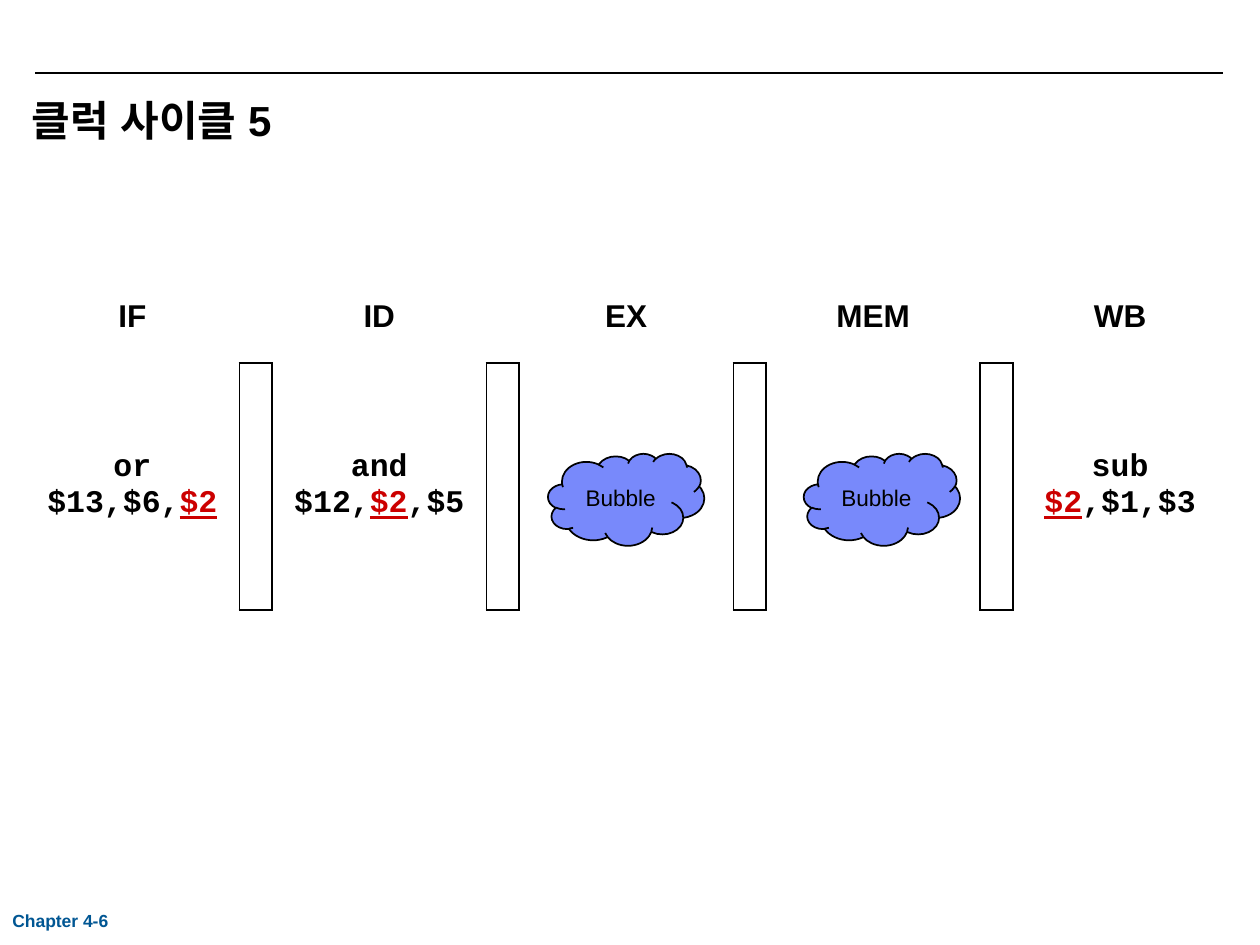
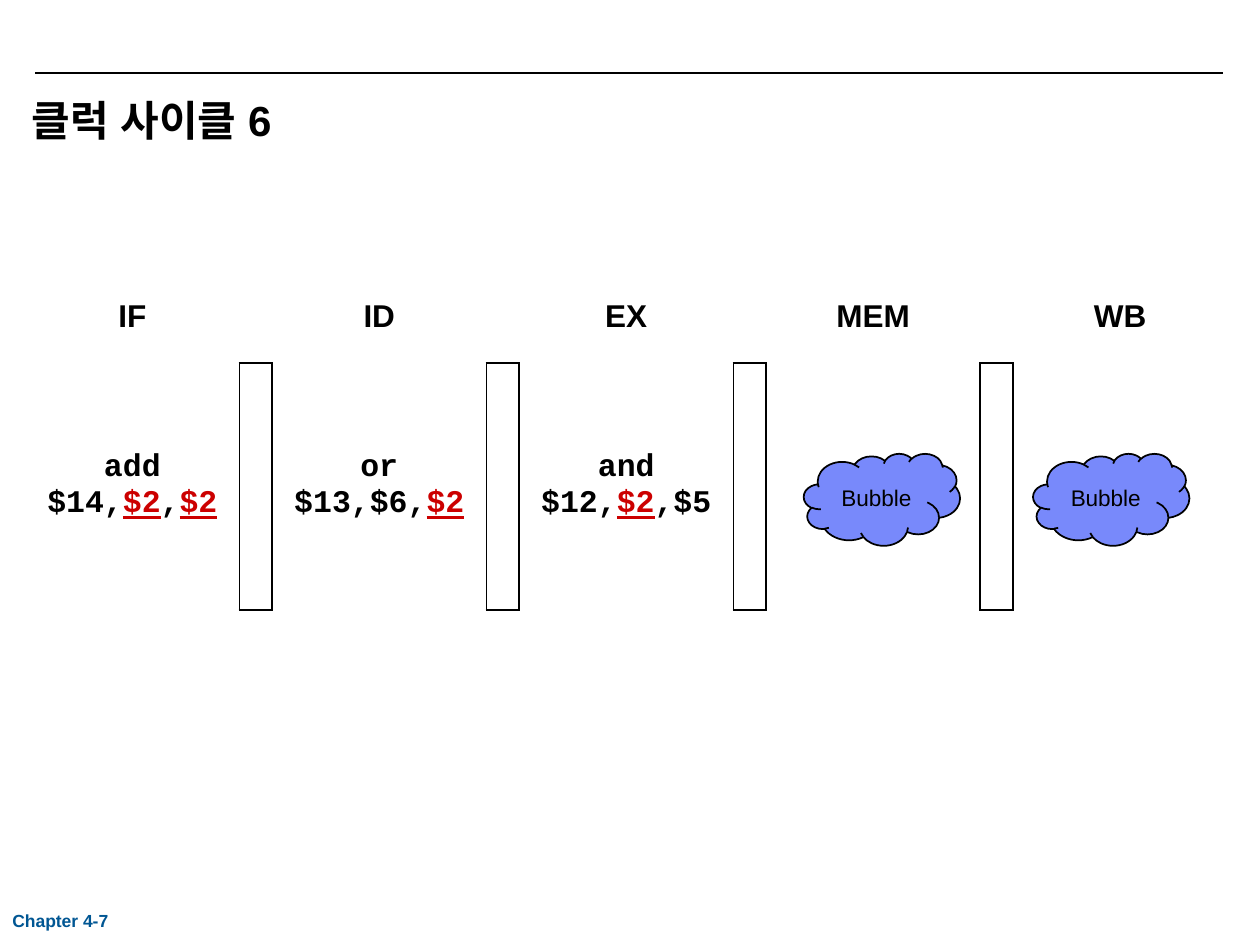
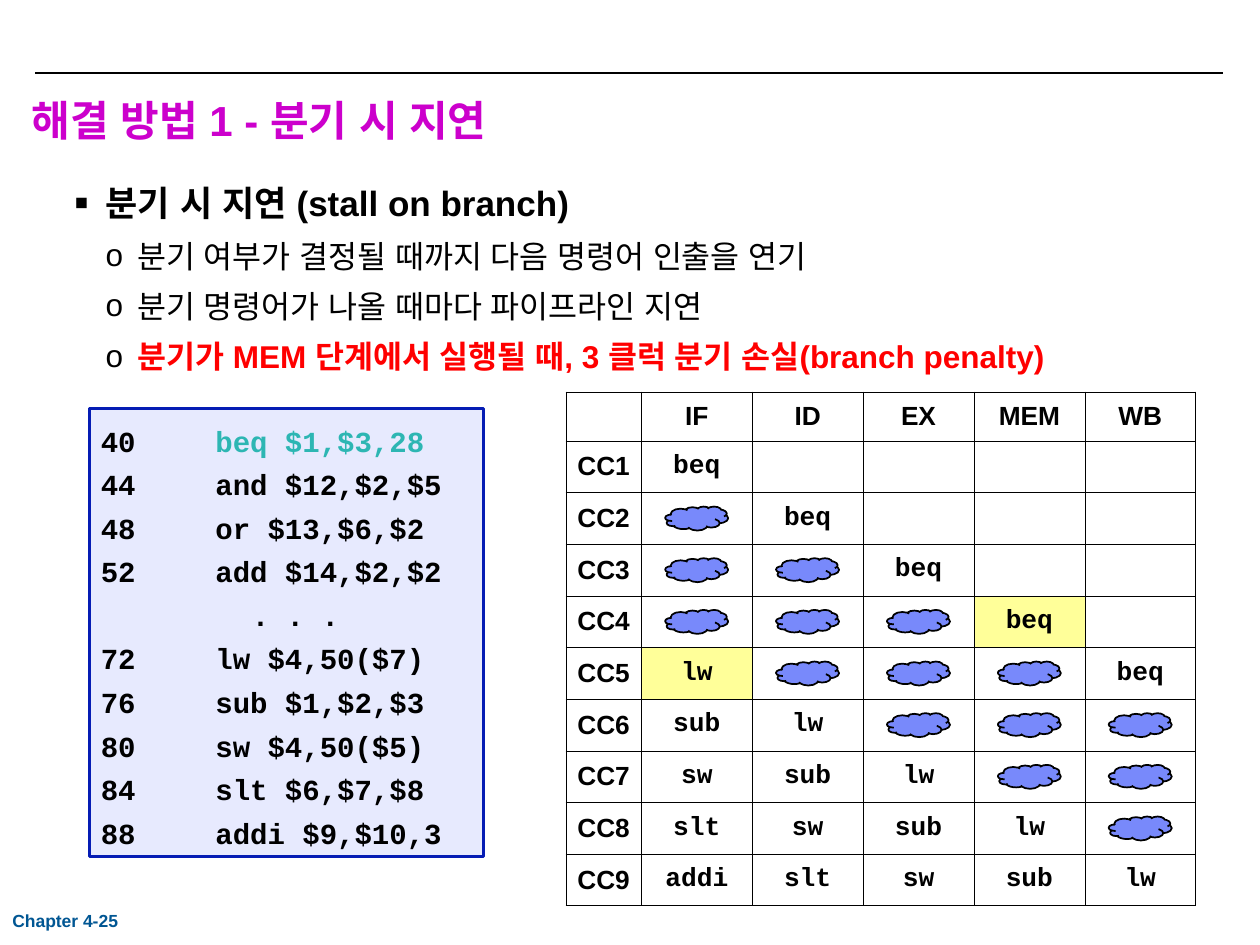
from dataclasses import dataclass
from lxml import etree
from pptx import Presentation
from pptx.dml.color import RGBColor
from pptx.enum.shapes import MSO_CONNECTOR, MSO_SHAPE
from pptx.enum.text import MSO_ANCHOR, PP_ALIGN
from pptx.oxml.ns import qn
from pptx.util import Inches, Pt

CENTER, LEFT = PP_ALIGN.CENTER, PP_ALIGN.LEFT
TOP, MIDDLE = MSO_ANCHOR.TOP, MSO_ANCHOR.MIDDLE
CLOUD, RECT = MSO_SHAPE.CLOUD, MSO_SHAPE.RECTANGLE
STRAIGHT = MSO_CONNECTOR.STRAIGHT
PLAIN_TABLE = "{2D5ABB26-0587-4C30-8999-92F81FD0307C}"


@dataclass(frozen=True)
class Theme:
    sans: str = "Arial"
    mono: str = "Courier New"
    ink: str = "000000"
    footer: str = "005693"
    accent: str = "CC00CC"
    alert: str = "FF0000"
    register: str = "CC0000"
    branch: str = "2DB6B3"
    cloud: str = "7889FB"
    code_fill: str = "AEB8FD"
    code_line: str = "051CB4"
    mark: str = "FFFF99"
    title_pt: float = 24
    lead_pt: float = 20
    body_pt: float = 18
    code_pt: float = 16.6
    grid_pt: float = 15
    bubble_pt: float = 12.9
    footer_pt: float = 10


T = Theme()
WIDTH, HEIGHT = 10, 7.5
STAGES = ["IF", "ID", "EX", "MEM", "WB"]

CYCLES = [
    {"title": "클럭 사이클 5", "footer": "Chapter 4-6",
     "stages": [("or", "$13,$6,$2"), ("and", "$12,$2,$5"), None, None, ("sub", "$2,$1,$3")],
     "bubbles": [4.35, 6.38]},
    {"title": "클럭 사이클 6", "footer": "Chapter 4-7",
     "stages": [("add", "$14,$2,$2"), ("or", "$13,$6,$2"), ("and", "$12,$2,$5"), None, None],
     "bubbles": [6.38, 8.2]},
]

STALL = {
    "title": "해결 방법 1 - 분기 시 지연", "footer": "Chapter 4-25",
    "lead": "분기 시 지연 (stall on branch)",
    "points": [
        ("분기 여부가 결정될 때까지 다음 명령어 인출을 연기", False),
        ("분기 명령어가 나올 때마다 파이프라인 지연", False),
        ("분기가 MEM 단계에서 실행될 때, 3 클럭 분기 손실(branch penalty)", True),
    ],
}
CODE = [
    (40, "beq $1,$3,28"), (44, "and $12,$2,$5"), (48, "or $13,$6,$2"),
    (52, "add $14,$2,$2"), (None, ". . ."), (72, "lw $4,50($7)"),
    (76, "sub $1,$2,$3"), (80, "sw $4,50($5)"), (84, "slt $6,$7,$8"),
    (88, "addi $9,$10,3"),
]
AUTO_NUMBERED = range(72, 88)
FETCH_CYCLE = {"beq": 1, "lw": 5, "sub": 6, "sw": 7, "slt": 8, "addi": 9}
MARKED = {("beq", "MEM"), ("lw", "IF")}
LAST_CYCLE = 9
STALL_CYCLES = 3


def rgb(color):
    return RGBColor.from_string(color)


def add_run(p, text, size, color=T.ink, bold=True, font=T.sans, underline=False):
    r = p.add_run()
    r.text = text
    f = r.font
    f.size, f.bold, f.name = Pt(size), bold, font
    f.color.rgb = rgb(color)
    if underline:
        f.underline = True
    etree.SubElement(r._r.get_or_add_rPr(), qn("a:ea"), typeface=font)
    return r


def frame(s, margins=(0.1, 0.05), anchor=TOP):
    tf = s.text_frame
    tf.word_wrap = True
    tf.vertical_anchor = anchor
    tf.margin_left = tf.margin_right = Inches(margins[0])
    tf.margin_top = tf.margin_bottom = Inches(margins[1])
    return tf


def add_box(s, x, y, w, h, margins=(0.1, 0.05)):
    return frame(s.shapes.add_textbox(*map(Inches, (x, y, w, h))), margins)


def paragraphs(tf, count):
    return [tf.paragraphs[0]] + [tf.add_paragraph() for _ in range(count - 1)]


def hang(p, left, first):
    pPr = p._p.get_or_add_pPr()
    pPr.set("marL", str(Inches(left)))
    pPr.set("indent", str(Inches(first)))
    return pPr


def add_bullet(p, char, left, percent=100):
    pPr = hang(p, left, -0.25)
    clr = etree.SubElement(pPr, qn("a:buClr"))
    etree.SubElement(clr, qn("a:srgbClr"), val=T.ink)
    etree.SubElement(pPr, qn("a:buSzPct"), val=str(percent * 1000))
    etree.SubElement(pPr, qn("a:buFont"), typeface=T.sans)
    etree.SubElement(pPr, qn("a:buChar"), char=char)


def add_preset(s, kind, x, y, w, h, fill, line, line_pt):
    sp = s.shapes.add_shape(kind, *map(Inches, (x, y, w, h)))
    sp.shadow.inherit = False
    sp.fill.solid()
    sp.fill.fore_color.rgb = rgb(fill)
    sp.line.color.rgb = rgb(line)
    sp.line.width = Pt(line_pt)
    return sp


def add_cloud(s, x, y, w, h):
    return add_preset(s, CLOUD, x, y, w, h, T.cloud, T.ink, 1)


def add_grid(s, x, y, cols, rows):
    size = map(Inches, (x, y, sum(cols), sum(rows)))
    table = s.shapes.add_table(len(rows), len(cols), *size).table
    table.first_row = table.horz_banding = False
    table._tbl.tblPr.find(qn("a:tableStyleId")).text = PLAIN_TABLE
    for i, w in enumerate(cols):
        table.columns[i].width = Inches(w)
    for i, h in enumerate(rows):
        table.rows[i].height = Inches(h)
    return table


def style_cell(cell, sides, line_pt, margins, fill=None):
    tcPr = cell._tc.get_or_add_tcPr()
    for side in sides:
        ln = etree.SubElement(tcPr, qn(f"a:ln{side}"), w=str(Pt(line_pt)))
        solid = etree.SubElement(ln, qn("a:solidFill"))
        etree.SubElement(solid, qn("a:srgbClr"), val=T.ink)
    if fill:
        cell.fill.solid()
        cell.fill.fore_color.rgb = rgb(fill)
    else:
        cell.fill.background()
    cell.vertical_anchor = MIDDLE
    cell.margin_left = cell.margin_right = Inches(margins[0])
    cell.margin_top = cell.margin_bottom = Inches(margins[1])


def add_base(prs, title, footer, color=T.ink):
    s = prs.slides.add_slide(prs.slide_layouts[6])
    ends = map(Inches, (0.28, 0.58, 9.71, 0.58))
    rule = s.shapes.add_connector(STRAIGHT, *ends)
    rule.line.color.rgb = rgb(T.ink)
    rule.line.width = Pt(0.75)
    etree.SubElement(rule._element.spPr, qn("a:effectLst"))
    tf = add_box(s, 0.25, 0.75, 9.42, 0.67, (0, 0))
    add_run(tf.paragraphs[0], title, T.title_pt, color)
    tf = add_box(s, 0, 7.17, 1.83, 0.3)
    add_run(tf.paragraphs[0], footer, T.footer_pt, T.footer)
    return s


def add_instruction(cell, name, operands):
    first, second = paragraphs(cell.text_frame, 2)
    first.alignment = second.alignment = CENTER
    add_run(first, name, T.body_pt, font=T.mono)
    for part in filter(None, operands.replace("$2", "|$2|").split("|")):
        hazard = part == "$2"
        add_run(second, part, T.body_pt, T.register if hazard else T.ink,
                font=T.mono, underline=hazard)


def build_cycle(prs, cycle):
    s = add_base(prs, cycle["title"], cycle["footer"])
    last = 2 * len(STAGES) - 2
    cols = [0.26 if c % 2 else 1.7 for c in range(last + 1)]
    table = add_grid(s, 0.2, 2.15, cols, [0.73, 1.96])
    for c in range(last + 1):
        head, body = table.cell(0, c), table.cell(1, c)
        register = c % 2 == 1
        style_cell(head, "B" if register else "", 1, (0.09, 0.05))
        sides = "LRTB" if register else "L" * (c > 0) + "R" * (c < last)
        style_cell(body, sides, 1, (0.09, 0.05))
        if register:
            continue
        p = head.text_frame.paragraphs[0]
        p.alignment = CENTER
        add_run(p, STAGES[c // 2], T.body_pt)
        if cycle["stages"][c // 2]:
            add_instruction(body, *cycle["stages"][c // 2])
    for x in cycle["bubbles"]:
        sp = add_cloud(s, x, 3.6, 1.24, 0.73)
        p = frame(sp, (0.09, 0.05), MIDDLE).paragraphs[0]
        p.alignment = CENTER
        add_run(p, "Bubble", T.bubble_pt, bold=False)


def add_points(s):
    tf = add_box(s, 0.49, 1.39, 9.31, 1.85)
    lead, *points = paragraphs(tf, 1 + len(STALL["points"]))
    lead.space_before, lead.space_after = Pt(7), Pt(3)
    add_bullet(lead, "▪", 0.25, 120)
    add_run(lead, STALL["lead"], T.lead_pt)
    for p, (text, strong) in zip(points, STALL["points"]):
        p.space_before, p.space_after = Pt(4.5), Pt(2.7)
        add_bullet(p, "o", 0.5)
        add_run(p, text, T.body_pt, T.alert if strong else T.ink, strong)


def add_code(s):
    sp = add_preset(s, RECT, 0.71, 3.24, 3.13, 3.56, T.code_fill, T.code_line, 1.5)
    clr = sp.fill._xPr.find(qn("a:solidFill"))[0]
    etree.SubElement(clr, qn("a:alpha"), val="29000")
    tf = frame(sp, (0.09, 0.05))
    for p, (address, text) in zip(paragraphs(tf, len(CODE)), CODE):
        p.alignment = LEFT
        p.line_spacing = Pt(24.9)
        pPr = hang(p, 0.91, -0.91) if address else hang(p, 1.2, 0)
        if address in AUTO_NUMBERED:
            etree.SubElement(pPr, qn("a:buAutoNum"), type="arabicPlain", startAt=str(address))
        elif address:
            add_run(p, f"{address}\t", T.code_pt, font=T.mono)
        color = T.branch if text.startswith("beq") else T.ink
        add_run(p, text, T.code_pt, color, font=T.mono)


def add_pipeline(s):
    x, y, label_w, head_h = 4.49, 3.11, 0.6, 0.39
    col_w, row_h = 0.88, 0.41
    bubble_w, bubble_h = 0.5, 0.19
    table = add_grid(s, x, y, [label_w] + [col_w] * len(STAGES),
                     [head_h] + [row_h] * LAST_CYCLE)
    labels = {(0, c): stage for c, stage in enumerate(STAGES, 1)}
    labels |= {(n, 0): f"CC{n}" for n in range(1, LAST_CYCLE + 1)}
    work = {(start + c, c + 1): name for name, start in FETCH_CYCLE.items()
            for c in range(len(STAGES)) if start + c <= LAST_CYCLE}
    for row in range(LAST_CYCLE + 1):
        for col in range(len(STAGES) + 1):
            cell, name = table.cell(row, col), work.get((row, col))
            marked = (name, STAGES[col - 1]) in MARKED
            style_cell(cell, "LRTB", 0.28, (0, 0), T.mark if marked else None)
            text = name or labels.get((row, col))
            if text:
                p = cell.text_frame.paragraphs[0]
                p.alignment = CENTER
                add_run(p, text, T.grid_pt, font=T.mono if name else T.sans)
    left = x + label_w + (col_w - bubble_w) / 2
    top = y + head_h + (row_h - bubble_h) / 2
    for c in range(len(STAGES)):
        for n in range(1, STALL_CYCLES + 1):
            add_cloud(s, left + col_w * c, top + row_h * (c + n), bubble_w, bubble_h)


def build_stall(prs):
    s = add_base(prs, STALL["title"], STALL["footer"], T.accent)
    add_points(s)
    add_code(s)
    add_pipeline(s)


def main():
    prs = Presentation()
    prs.slide_width, prs.slide_height = Inches(WIDTH), Inches(HEIGHT)
    for cycle in CYCLES:
        build_cycle(prs, cycle)
    build_stall(prs)
    prs.save("out.pptx")


if __name__ == "__main__":
    main()
